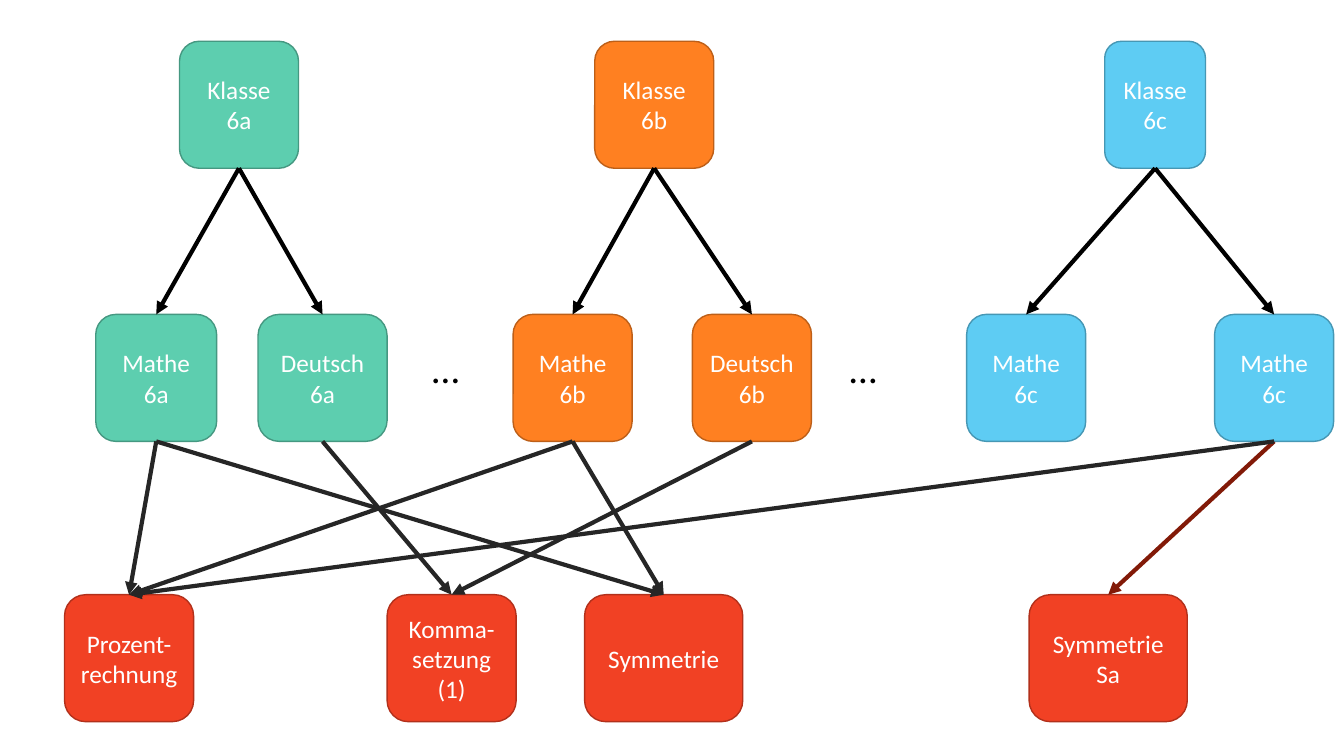
from lxml import etree
from pptx import Presentation
from pptx.dml.color import RGBColor
from pptx.enum.shapes import MSO_CONNECTOR, MSO_SHAPE
from pptx.enum.text import MSO_ANCHOR, MSO_AUTO_SIZE, PP_ALIGN
from pptx.oxml.ns import qn
from pptx.util import Pt

STRAIGHT = MSO_CONNECTOR.STRAIGHT
ROUNDED = MSO_SHAPE.ROUNDED_RECTANGLE
MIDDLE = MSO_ANCHOR.MIDDLE
CENTER = PP_ALIGN.CENTER
FIT_SHAPE = MSO_AUTO_SIZE.SHAPE_TO_FIT_TEXT
TOP_SITE, BOTTOM_SITE = 0, 2

FONT = "Calibri"
BLACK, WHITE, DARK_GRAY, DARK_RED = "000000", "FFFFFF", "262626", "821A08"
GREEN = ("5DCEAF", "459881")
ORANGE = ("FF8021", "BD5F18")
BLUE = ("5ECCF3", "4697B4")
RED = ("F14124", "B2301B")

CLASS_TOP, SUBJECT_TOP, TOPIC_TOP = 29.5, 224.6, 424.8
BOX_HEIGHT = 90.7

CLASSES = [
    (GREEN, ("Klasse 6a", 128.2, 85),
     [("Mathe 6a", 68.4, 86.4), ("Deutsch 6a", 184.3, 92.2)]),
    (ORANGE, ("Klasse 6b", 424.8, 85),
     [("Mathe 6b", 366.5, 85), ("Deutsch 6b", 494.6, 85)]),
    (BLUE, ("Klasse 6c", 789.1, 72),
     [("Mathe 6c", 690.5, 85), ("Mathe 6c", 867.6, 85)]),
]
TOPICS = [
    ("Prozent-rechnung", 46.1, 92.2),
    ("Komma-setzung (1)", 276.5, 92.2),
    ("Symmetrie", 417.6, 113),
    ("Symmetrie Sa", 735.1, 113),
]
ELLIPSIS_LEFTS = (301.7, 599.8)


def color(hex_string):
    return RGBColor.from_string(hex_string)


def format_text(shape, size, text_color):
    for para in shape.text_frame.paragraphs:
        for span in para.runs:
            span.font.name = FONT
            span.font.size = Pt(size)
            span.font.color.rgb = color(text_color)


def add_box(page, label, left, width, top, colors):
    box = page.shapes.add_shape(ROUNDED, Pt(left), Pt(top), Pt(width), Pt(BOX_HEIGHT))
    fill, outline = colors
    box.shadow.inherit = False
    box.fill.solid()
    box.fill.fore_color.rgb = color(fill)
    box.line.color.rgb = color(outline)
    box.line.width = Pt(1)
    frame = box.text_frame
    frame.text = label
    frame.word_wrap = True
    frame.vertical_anchor = MIDDLE
    frame.paragraphs[0].alignment = CENTER
    format_text(box, 18, WHITE)
    return box


def add_arrow(page, source, target, line_color):
    arrow = page.shapes.add_connector(STRAIGHT, 0, 0, 0, 0)
    arrow.begin_connect(source, BOTTOM_SITE)
    arrow.end_connect(target, TOP_SITE)
    arrow.line.color.rgb = color(line_color)
    arrow.line.width = Pt(3)
    etree.SubElement(arrow.line._get_or_add_ln(), qn("a:tailEnd"), type="triangle")
    etree.SubElement(arrow._element.spPr, qn("a:effectLst"))


def add_ellipsis(page, left):
    box = page.shapes.add_textbox(Pt(left), Pt(242.6), Pt(33.8), Pt(41))
    box.text_frame.text = "…"
    box.text_frame.word_wrap = False
    box.text_frame.auto_size = FIT_SHAPE
    format_text(box, 28, BLACK)


def main():
    deck = Presentation()
    deck.slide_width, deck.slide_height = Pt(960), Pt(540)
    page = deck.slides.add_slide(deck.slide_layouts[6])

    subjects = []
    for colors, school_class, children in CLASSES:
        parent = add_box(page, *school_class, CLASS_TOP, colors)
        for child in children:
            subject = add_box(page, *child, SUBJECT_TOP, colors)
            add_arrow(page, parent, subject, BLACK)
            subjects.append(subject)
    for left in ELLIPSIS_LEFTS:
        add_ellipsis(page, left)

    topics = [add_box(page, *topic, TOPIC_TOP, RED) for topic in TOPICS]
    percent, comma, symmetry, symmetry_sa = topics
    math_a, german_a, math_b, german_b, _, math_c = subjects
    for subject, topic, line_color in [
        (math_a, percent, DARK_GRAY),
        (math_b, percent, DARK_GRAY),
        (german_a, comma, DARK_GRAY),
        (german_b, comma, DARK_GRAY),
        (math_c, symmetry_sa, DARK_RED),
        (math_a, symmetry, DARK_GRAY),
        (math_c, percent, DARK_GRAY),
        (math_b, symmetry, DARK_GRAY),
    ]:
        add_arrow(page, subject, topic, line_color)

    deck.save("out.pptx")


main()
